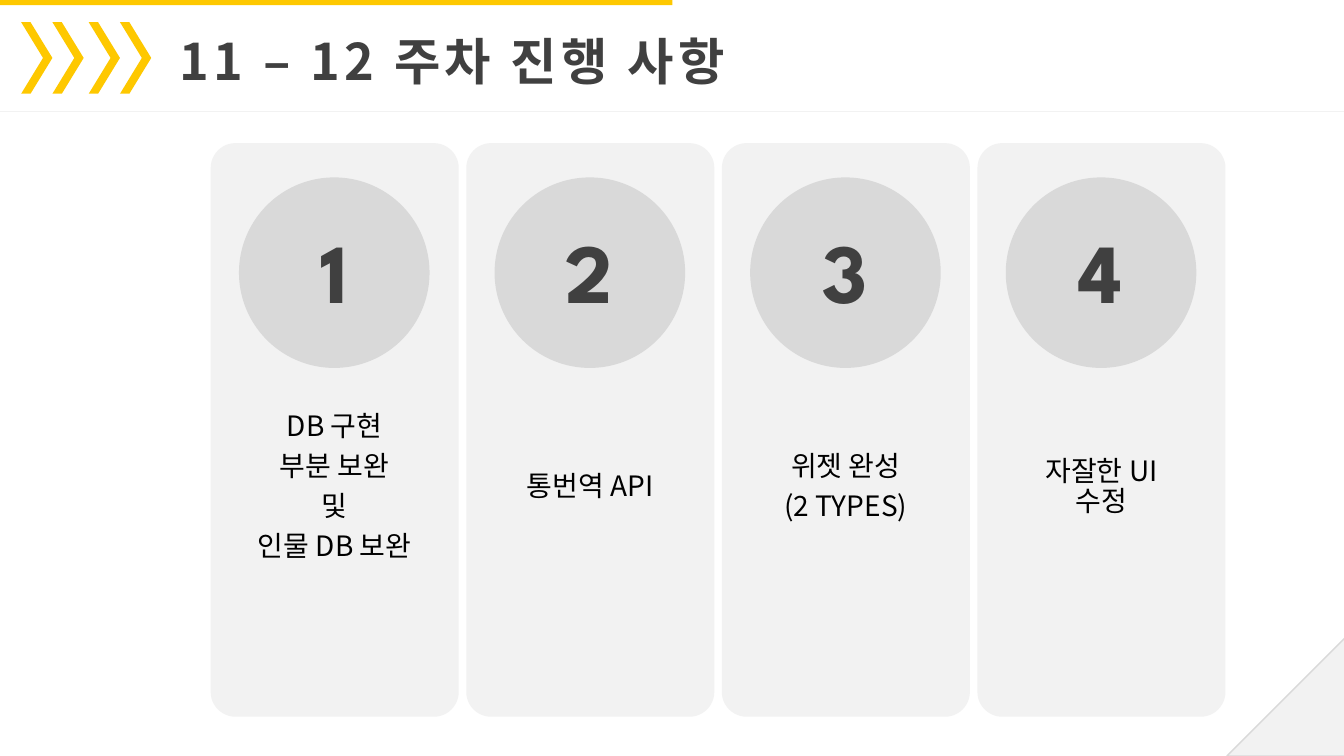
from lxml import etree
from pptx import Presentation
from pptx.dml.color import RGBColor
from pptx.enum.shapes import MSO_CONNECTOR, MSO_SHAPE as SHAPE
from pptx.enum.text import MSO_ANCHOR as ANCHOR, MSO_AUTO_SIZE as AUTO, PP_ALIGN as ALIGN
from pptx.oxml.ns import qn
from pptx.util import Inches, Pt

YELLOW = RGBColor(0xFE, 0xC8, 0x00)
LIGHT = RGBColor(0xF2, 0xF2, 0xF2)
GRAY = RGBColor(0xD9, 0xD9, 0xD9)
DARK = RGBColor(0x40, 0x40, 0x40)
BLACK = RGBColor(0x00, 0x00, 0x00)
KOREAN, DIGITS = "Noto Sans CJK KR", "League Spartan"

CARDS = [
    ["DB 구현", "부분 보완", "및", "인물 DB 보완"],
    ["통번역 API"],
    ["위젯 완성", "(2 TYPES)"],
    ["자잘한 UI 수정"],
]
CARD_LEFT, CARD_STEP = 2.09, 2.535


def add_filled(shapes, kind, left, top, width, height, fill):
    sp = shapes.add_shape(kind, Inches(left), Inches(top), Inches(width), Inches(height))
    sp.shadow.inherit = False
    sp.fill.solid()
    sp.fill.fore_color.rgb = fill
    sp.line.fill.background()
    return sp


def write(p, text, face, size, color, align, bold=False):
    """Fill a paragraph with one run, using the face for Latin and Korean."""
    r = p.add_run()
    r.text = text
    p.alignment = align
    r.font.name, r.font.size, r.font.bold = face, Pt(size), bold
    r.font.color.rgb = color
    rPr = r.font._element
    etree.SubElement(rPr, qn("a:ea")).set("typeface", face)
    return rPr


prs = Presentation()
prs.slide_width, prs.slide_height = Inches(13.33), Inches(7.5)
s = prs.slides.add_slide(prs.slide_layouts[5])

# Page corner and top bar
corner = add_filled(s.shapes, SHAPE.RIGHT_TRIANGLE, 12.17, 6.33, 1.17, 1.17, LIGHT)
corner.line.color.rgb = GRAY
corner.line.width = Pt(1)
corner._element.spPr.find(qn("a:xfrm")).set("flipH", "1")
add_filled(s.shapes, SHAPE.RECTANGLE, 0, 0, 6.67, 0.05, YELLOW)

# Header
title = s.shapes.title
title.left, title.top, title.width, title.height = map(Inches, (1.35, 0.24, 5.94, 0.71))
tf = title.text_frame
tf.word_wrap = False
tf.auto_size = AUTO.NONE
tf.vertical_anchor = ANCHOR.MIDDLE
rPr = write(tf.paragraphs[0], "11 – 12 주차 진행 사항", KOREAN, 36, DARK, ALIGN.RIGHT, True)
rPr.set("spc", "300")

rule = s.shapes.add_connector(MSO_CONNECTOR.STRAIGHT, 0, Inches(1.1), prs.slide_width, Inches(1.1))
rule.line.color.rgb = LIGHT
rule.line.width = Pt(0.5)
etree.SubElement(rule._element.spPr, qn("a:effectLst"))

for pair_left in (0.21, 0.88):
    pair = s.shapes.add_group_shape()
    for i in range(2):
        chevron = add_filled(pair.shapes, SHAPE.CHEVRON, pair_left + 0.31 * i, 0.22, 0.31, 0.71, YELLOW)
        chevron.adjustments[0] = 0.7

# Numbered cards
for i, lines in enumerate(CARDS):
    left = CARD_LEFT + CARD_STEP * i
    card = add_filled(s.shapes, SHAPE.ROUNDED_RECTANGLE, left, 1.42, 2.46, 5.69, LIGHT)
    card.adjustments[0] = 0.1
    tf = card.text_frame
    tf.word_wrap = True
    tf.vertical_anchor = ANCHOR.MIDDLE
    tf.margin_left = tf.margin_right = Inches(0.44 if i == 3 else 0.16)
    tf.margin_top, tf.margin_bottom = Inches(2.44), Inches(1.3)
    for j, line in enumerate(lines):
        p = tf.add_paragraph() if j else tf.paragraphs[0]
        p.line_spacing = 0.9
        p.space_after = Pt(7)
        write(p, line, KOREAN, 20, BLACK, ALIGN.CENTER)

    add_filled(s.shapes, SHAPE.OVAL, left + 0.28, 1.76, 1.89, 1.89, GRAY)
    number = s.shapes.add_textbox(Inches(left + 0.81), Inches(2.13), Inches(0.83), Inches(1.11))
    number.text_frame.word_wrap = True
    write(number.text_frame.paragraphs[0], str(i + 1), DIGITS, 60, DARK, ALIGN.CENTER, True)

prs.save("out.pptx")
